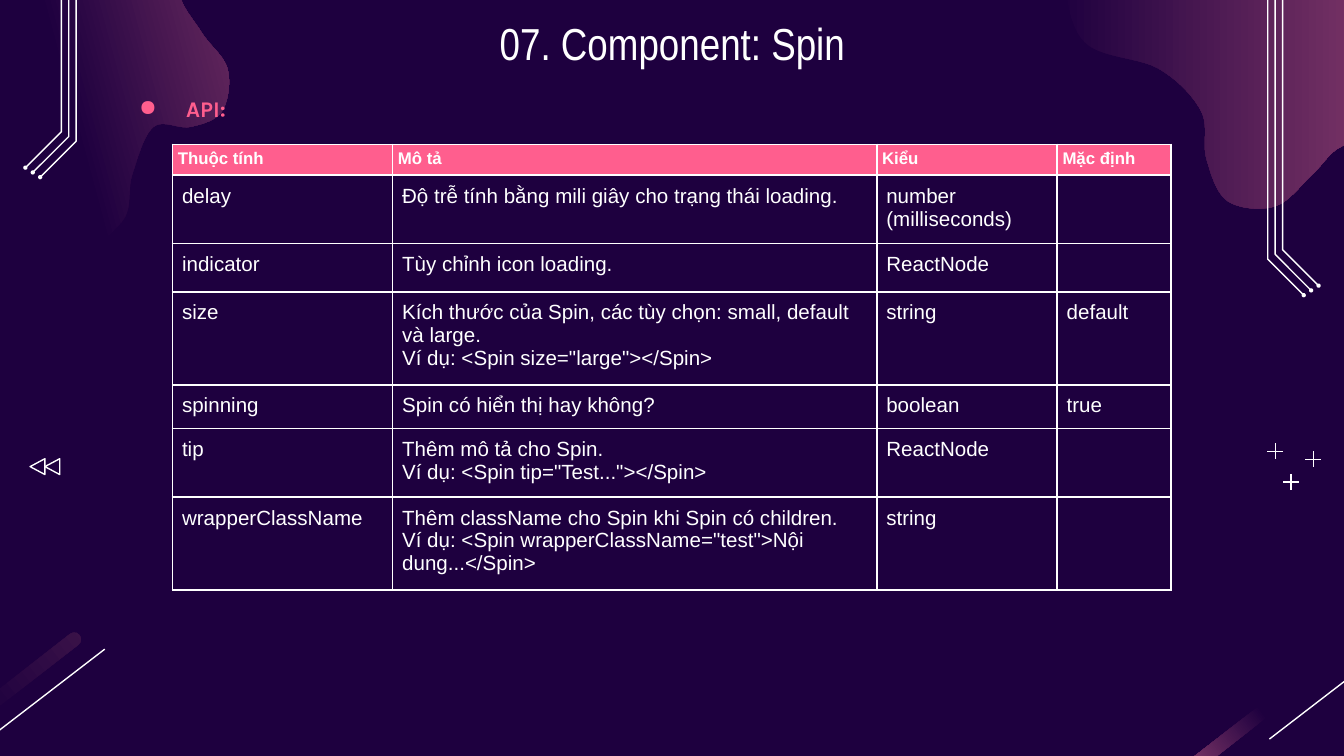
from lxml import etree
from pptx import Presentation
from pptx.dml.color import RGBColor
from pptx.enum.shapes import MSO_CONNECTOR, MSO_SHAPE
from pptx.enum.text import MSO_ANCHOR, PP_ALIGN
from pptx.oxml.ns import qn
from pptx.util import Cm, Pt

STRAIGHT = MSO_CONNECTOR.STRAIGHT
OVAL, TRIANGLE = MSO_SHAPE.OVAL, MSO_SHAPE.ISOSCELES_TRIANGLE
ROUNDED = MSO_SHAPE.ROUNDED_RECTANGLE
CENTER, MIDDLE = PP_ALIGN.CENTER, MSO_ANCHOR.MIDDLE

COLORS = {"night": "1E003F", "mauve": "A64D79", "dusk": "3A1248",
          "pink": "FF5E8E", "white": "FFFFFF"}
RGB = {name: RGBColor.from_string(value) for name, value in COLORS.items()}

presentation = Presentation()
presentation.slide_width, presentation.slide_height = Cm(25.4), Cm(14.29)
slide = presentation.slides.add_slide(presentation.slide_layouts[6])
slide.background.fill.solid()
slide.background.fill.fore_color.rgb = RGB["night"]
shapes = slide.shapes


def fade(shape, start, end_color, angle):
    """Fill from night to end_color, without outline or shadow."""
    shape.shadow.inherit = False
    shape.line.fill.background()
    shape.fill.gradient()
    shape.fill.gradient_angle = angle
    first, last = shape.fill.gradient_stops
    first.color.rgb, first.position = RGB["night"], start
    last.color.rgb, last.position = RGB[end_color], 1


def add_line(x1, y1, x2, y2):
    line = shapes.add_connector(STRAIGHT, Cm(x1), Cm(y1), Cm(x2), Cm(y2))
    line.line.color.rgb = RGB["white"]
    line.line.width = Pt(0.75)
    etree.SubElement(line._element.spPr, qn("a:effectLst"))


# Corner blobs: closed smooth (Catmull-Rom) curves through a few anchors
BLOBS = [
    (0.5, 15, [(1.2, 4.8), (2.3, 4.2), (2.5, 3.3), (2.9, 2.4), (3.6, 2.4), (4.2, 2.1),
               (4.3, 1.3), (3.8, 0.6), (3.4, -0.2), (4, -1), (5.8, -1.1), (6.6, -2.2),
               (4.2, -3.8), (1.4, -2.3), (-2.3, -1.9), (-4.9, 0.6), (-2.2, 2.5), (-0.3, 3.4)]),
    (0, 0, [(28.6, 1), (26.9, -2), (21.6, -3.6), (20.1, -2), (20.1, -0.5), (20.5, 0.8),
            (21.9, 1.3), (22.7, 2.1), (22.8, 3), (23.2, 3.8), (24.1, 3.9), (24.8, 3.3),
            (25.3, 2.8), (25.9, 2.7), (26.7, 3.5), (28.4, 2.2)]),
]
STEPS = 10
for start, angle, anchors in BLOBS:
    outline = []
    for i in range(len(anchors)):
        neighbours = [anchors[(i + k) % len(anchors)] for k in (-1, 0, 1, 2)]
        for step in range(STEPS):
            t = step / STEPS
            point = []
            for a, b, c, d in zip(*neighbours):
                value = b + t * (c - a + t * (2 * a - 5 * b + 4 * c - d
                                              + t * (3 * b - a - 3 * c + d))) / 2
                point.append(Cm(value))
            outline.append(point)
    builder = shapes.build_freeform(*outline[0])
    builder.add_line_segments(outline[1:], close=True)
    fade(builder.convert_to_shape(), start, "mauve", angle)

# Streaks and diagonal lines in the bottom corners
for offset, end_color, angle in ((0, "dusk", 0), (24.22, "mauve", 180)):
    streak = shapes.add_shape(ROUNDED, Cm(offset - 2.7), Cm(13.32), Cm(4.7), Cm(0.26))
    streak.adjustments[0] = 0.5
    streak.rotation = -37.9
    fade(streak, 0.5, end_color, angle)
    add_line(offset + 1.98, 12.27, offset - 0.23, 13.97)

# Circuit traces, three on each side
for x, direction, top, knee in ((24.24, 1, -3.02, 4.72), (1.16, -1, -5.26, 2.49)):
    for i in range(3):
        trace_x = x - direction * 0.14 * i
        bend_y = knee + 0.09 * i
        end_x, end_y = trace_x + direction * 0.68, bend_y + 0.68
        builder = shapes.build_freeform(Cm(trace_x), Cm(top))
        builder.add_line_segments([(Cm(trace_x), Cm(bend_y)), (Cm(end_x), Cm(end_y))], close=False)
        trace = builder.convert_to_shape()
        trace.shadow.inherit = False
        trace.fill.background()
        trace.line.color.rgb = RGB["white"]
        trace.line.width = Pt(0.75)
        dot = shapes.add_shape(OVAL, Cm(end_x - 0.04), Cm(end_y - 0.04), Cm(0.08), Cm(0.08))
        dot.shadow.inherit = False
        dot.fill.solid()
        dot.fill.fore_color.rgb = RGB["white"]
        dot.line.fill.background()

# Plus signs
for x, y in ((24.4, 9.11), (24.82, 8.68), (24.1, 8.53)):
    add_line(x - 0.15, y, x + 0.15, y)
    add_line(x, y - 0.15, x, y + 0.15)

# Rewind triangles
for x in (0.56, 0.84):
    triangle = shapes.add_shape(TRIANGLE, Cm(x), Cm(8.68), Cm(0.3), Cm(0.28))
    triangle.rotation = 270
    triangle.shadow.inherit = False
    triangle.fill.background()
    triangle.line.color.rgb = RGB["white"]
    triangle.line.width = Pt(0.75)

# Subtitle and title
for text, top, width, height, size, font, color in (
        ("API:", 1.3, 20.62, 1.22, 12, "Karla", "pink"),
        ("07. Component: Spin", 0, 21.41, 1.6, 24, "Arial Narrow", "white")):
    frame = shapes.add_textbox(Cm(2), Cm(top), Cm(width), Cm(height)).text_frame
    frame.word_wrap = True
    frame.margin_left = frame.margin_right = frame.margin_top = frame.margin_bottom = Cm(0.25)
    frame.text = text
    paragraph = frame.paragraphs[0]
    run_font = paragraph.runs[0].font
    run_font.name, run_font.size, run_font.color.rgb = font, Pt(size), RGB[color]
    if color == "pink":
        run_font.bold = True
        paragraph.line_spacing = 1.5
        properties = paragraph._p.get_or_add_pPr()
        properties.set("marL", str(Cm(1.27)))
        properties.set("indent", str(Cm(-0.89)))
        bullet_color = etree.SubElement(properties, qn("a:buClr"))
        etree.SubElement(bullet_color, qn("a:srgbClr"), val=COLORS["pink"])
        etree.SubElement(properties, qn("a:buChar"), char="●")
    else:
        paragraph.alignment = CENTER
        frame.vertical_anchor = MIDDLE

# API table
ROWS = [
    (0.57, "Thuộc tính", "Mô tả", "Kiểu", "Mặc định"),
    (1.22, "delay", "Độ trễ tính bằng mili giây cho trạng thái loading.", "number (milliseconds)", ""),
    (0.91, "indicator", "Tùy chỉnh icon loading.", "ReactNode", ""),
    (1.64, "size", "Kích thước của Spin, các tùy chọn: small, default và large.\n"
     'Ví dụ: <Spin size="large"></Spin>', "string", "default"),
    (0.79, "spinning", "Spin có hiển thị hay không?", "boolean", "true"),
    (1.22, "tip", 'Thêm mô tả cho Spin.\nVí dụ: <Spin tip="Test..."></Spin>', "ReactNode", ""),
    (1.64, "wrapperClassName", "Thêm className cho Spin khi Spin có children.\n"
     'Ví dụ: <Spin wrapperClassName="test">Nội dung...</Spin>', "string", ""),
]
WIDTHS = (4.16, 9.15, 3.41, 2.15)
table = shapes.add_table(len(ROWS), len(WIDTHS), Cm(3.26), Cm(2.73),
                         Cm(sum(WIDTHS)), Cm(sum(row[0] for row in ROWS))).table
table.first_row = table.horz_banding = False
for column, width in zip(table.columns, WIDTHS):
    column.width = Cm(width)
for row_index, (height, *texts) in enumerate(ROWS):
    table.rows[row_index].height = Cm(height)
    header = row_index == 0
    size, margin = (9, Cm(0.1)) if header else (11, Cm(0.18))
    for cell, text in zip(table.rows[row_index].cells, texts):
        cell.margin_left = cell.margin_right = cell.margin_top = cell.margin_bottom = margin
        cell.text_frame.text = text
        for paragraph in cell.text_frame.paragraphs:
            for run in paragraph.runs:
                run.font.name, run.font.size, run.font.bold = "Arial", Pt(size), header
                run.font.color.rgb = RGB["white"]
            if not text:
                paragraph._p.get_or_add_endParaRPr().set("sz", str(size * 100))
        for side in ("lnL", "lnR", "lnT", "lnB"):
            border = etree.SubElement(cell._tc.get_or_add_tcPr(), qn("a:" + side), w=str(Pt(1)))
            solid = etree.SubElement(border, qn("a:solidFill"))
            etree.SubElement(solid, qn("a:srgbClr"), val=COLORS["white"])
        if header:
            cell.fill.solid()
            cell.fill.fore_color.rgb = RGB["pink"]
        else:
            cell.fill.background()

presentation.save("out.pptx")
